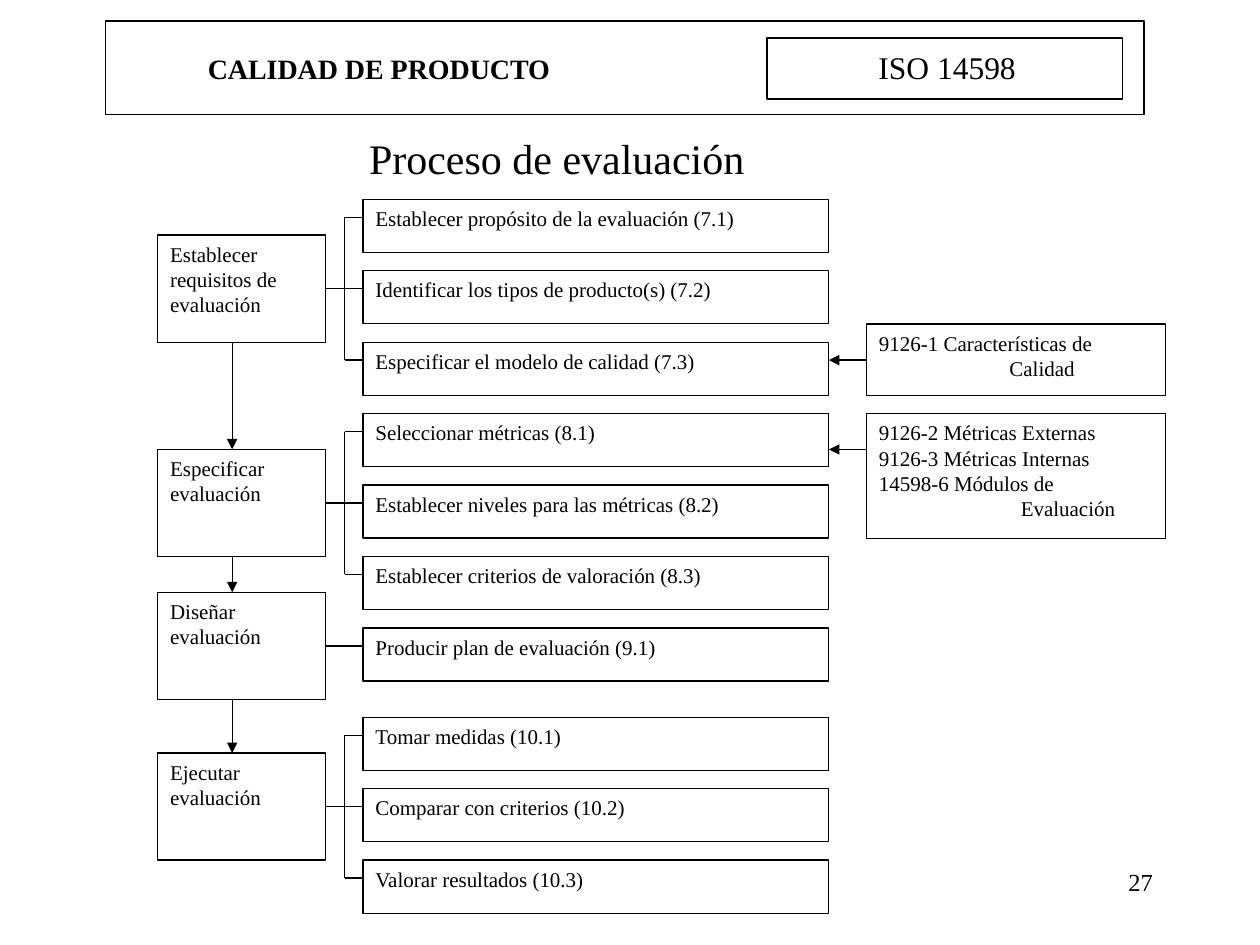
from dataclasses import dataclass
from pptx import Presentation
from pptx.dml.color import RGBColor
from pptx.enum.shapes import MSO_CONNECTOR as Line, MSO_SHAPE as Shape
from pptx.enum.text import MSO_ANCHOR as Anchor, PP_ALIGN as Align
from pptx.oxml.ns import qn
from pptx.util import Cm, Pt
from lxml.etree import SubElement


@dataclass(frozen=True)
class Theme:
    ink: RGBColor = RGBColor(0, 0, 0)
    paper: RGBColor = RGBColor(255, 255, 255)
    font: str = "Times New Roman"
    body: int = 12
    number: int = 14
    header: int = 16
    standard: int = 18
    title: int = 24


theme = Theme()


def write(box, text, size=theme.body, bold=False, align=Align.LEFT, anchor=Anchor.TOP, indent=0, last_indent=0):
    frame = box.text_frame
    frame.word_wrap = True
    frame.vertical_anchor = anchor
    lines = text.split("\n")
    for index, line in enumerate(lines):
        para = frame.paragraphs[0] if index == 0 else frame.add_paragraph()
        margin = last_indent if last_indent and index == len(lines) - 1 else indent
        para._p.get_or_add_pPr().set("marL", str(Cm(margin)))
        para.alignment = align
        span = para.add_run()
        span.text = line
        span.font.name = theme.font
        span.font.size = Pt(size)
        span.font.bold = bold
        span.font.color.rgb = theme.ink


def link(x1, y1, x2, y2, arrow=False):
    line = page.shapes.add_connector(Line.STRAIGHT, Cm(x1), Cm(y1), Cm(x2), Cm(y2))
    line.line.color.rgb = theme.ink
    line.line.width = Pt(0.75)
    if arrow:
        SubElement(line.line._get_or_add_ln(), qn("a:tailEnd"), type="triangle")
    SubElement(line._element.spPr, qn("a:effectLst"))


deck = Presentation()
deck.slide_width, deck.slide_height = Cm(25.4), Cm(19.05)
page = deck.slides.add_slide(deck.slide_layouts[6])

unit = 0.36
row_step, task_height, stage_height = 4 * unit, 1.07, 6 * unit
stage_left, stage_width = 3.18, 3.39
task_left, task_width = 7.32, 9.39
note_left, note_width = 17.47, 6.02
stage_right, task_right = stage_left + stage_width, task_left + task_width
trunk = (stage_right + task_left) / 2
flow = 4.68

stages = [
    ("Establecer\nrequisitos de\nevaluación", 4.02, [
        "Establecer propósito de la evaluación (7.1)",
        "Identificar los tipos de producto(s) (7.2)",
        "Especificar el modelo de calidad (7.3)"]),
    ("Especificar\nevaluación", 8.34, [
        "Seleccionar métricas (8.1)",
        "Establecer niveles para las métricas (8.2)",
        "Establecer criterios de valoración (8.3)"]),
    ("Diseñar\nevaluación", 12.66, ["Producir plan de evaluación (9.1)"]),
    ("Ejecutar\nevaluación", 14.46, [
        "Tomar medidas (10.1)",
        "Comparar con criterios (10.2)",
        "Valorar resultados (10.3)"]),
]
notes = [
    ("9126-1 Características de\nCalidad", 6.53, 1.44, 7.26, 2.63),
    ("9126-2 Métricas Externas\n9126-3 Métricas Internas\n14598-6 Módulos de\nEvaluación", 8.34, 2.52, 9.06, 2.86),
]

labels = [
    ("CALIDAD DE PRODUCTO", 1.7, 0.53, 21.59, 1.7,
     dict(size=theme.header, bold=True, anchor=Anchor.MIDDLE, indent=2.24)),
    ("ISO 14598", 16.51, 0.84, 5, 1.02, dict(size=theme.standard, indent=0.95)),
    ("Proceso de evaluación", 7.19, 2.54, 8.69, 1.27, dict(size=theme.title)),
    ("27", 18.21, 17.35, 5.28, 1.27, dict(size=theme.number, align=Align.RIGHT)),
]
for text, left, top, width, height, style in labels:
    box = page.shapes.add_textbox(Cm(left), Cm(top), Cm(width), Cm(height))
    write(box, text, **style)

boxes = [
    ("", 2.13, 0.43, 20.93, 1.88, 0),
    ("", 15.47, 0.76, 7.16, 1.24, 0),
]
previous_bottom = None
for name, first_top, tasks in stages:
    middle = first_top + len(tasks) // 2 * row_step + unit
    stage_top = middle - stage_height / 2
    boxes.append((name, stage_left, stage_top, stage_width, stage_height, 0))
    link(stage_right, middle, task_left, middle)
    for index, task in enumerate(tasks):
        top = first_top + index * row_step
        boxes.append((task, task_left, top, task_width, task_height, 0))
        if index != len(tasks) // 2:
            link(trunk, top + unit, task_left, top + unit)
    if len(tasks) > 1:
        link(trunk, middle - row_step, trunk, middle + row_step)
    if previous_bottom:
        link(flow, previous_bottom, flow, stage_top, arrow=True)
    previous_bottom = stage_top + stage_height

for text, top, height, arrow_y, last_indent in notes:
    boxes.append((text, note_left, top, note_width, height, last_indent))
    link(note_left, arrow_y, task_right, arrow_y, arrow=True)

for text, left, top, width, height, last_indent in boxes:
    box = page.shapes.add_shape(Shape.RECTANGLE, Cm(left), Cm(top), Cm(width), Cm(height))
    box.shadow.inherit = False
    box.line.color.rgb = theme.ink
    box.line.width = Pt(0.75 if text else 1)
    if text:
        box.fill.solid()
        box.fill.fore_color.rgb = theme.paper
        write(box, text, last_indent=last_indent)
    else:
        box.fill.background()

deck.save("out.pptx")
